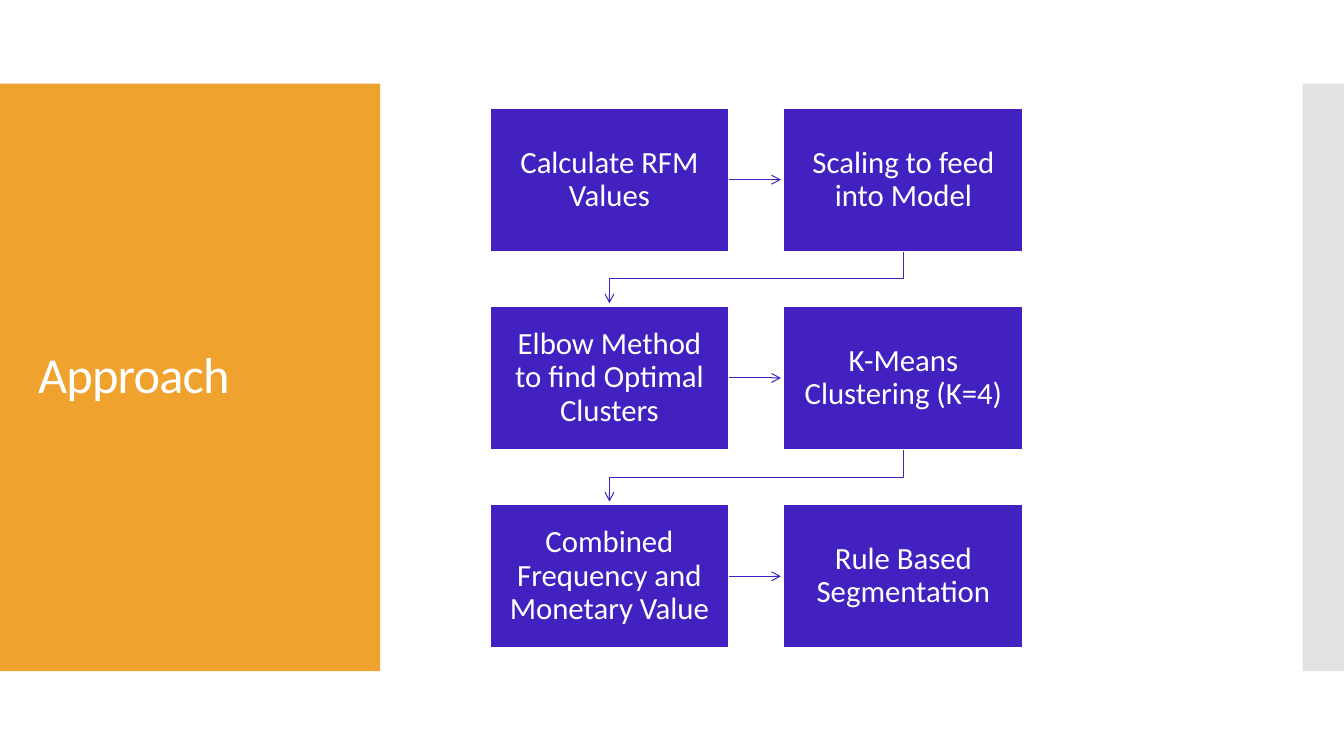
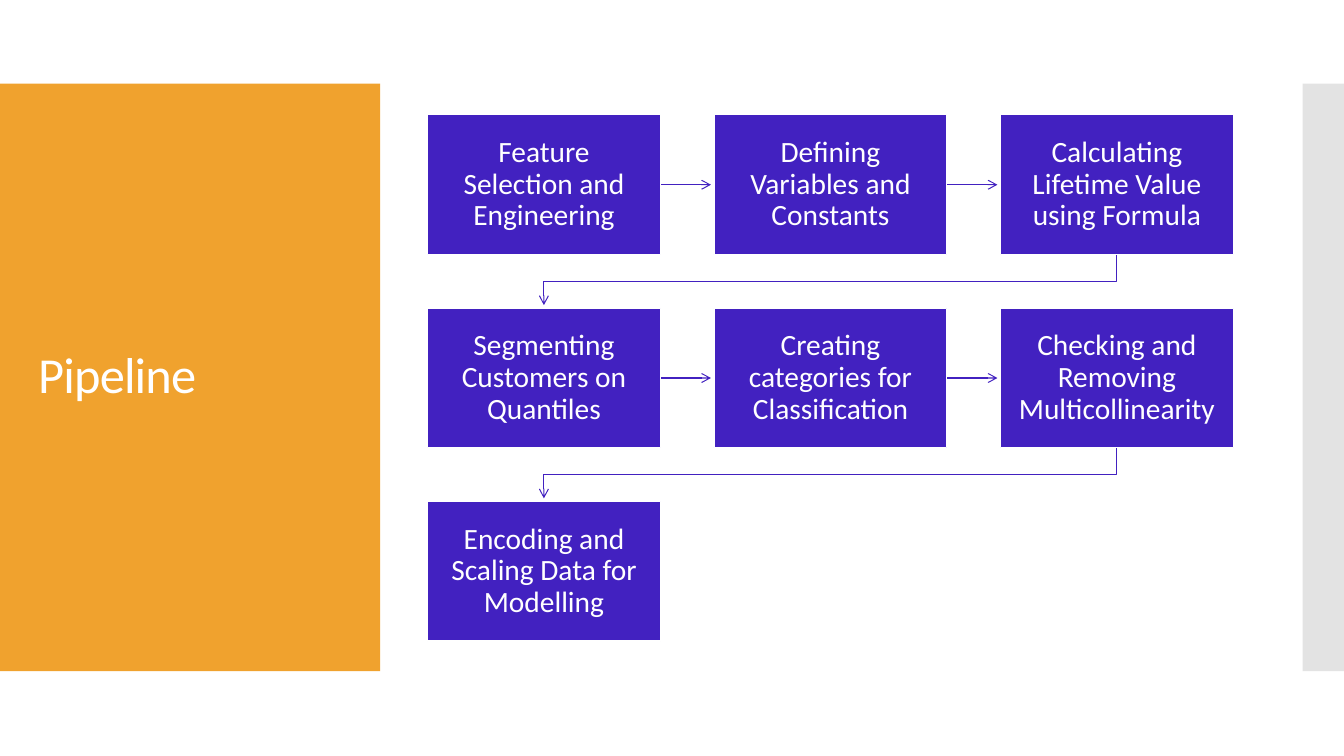
"""Build two process-flow slides: the approach and the pipeline."""
from dataclasses import dataclass
from itertools import pairwise

from lxml import etree
from pptx import Presentation
from pptx.dml.color import RGBColor
from pptx.enum.shapes import MSO_CONNECTOR, MSO_SHAPE
from pptx.enum.text import MSO_ANCHOR, PP_ALIGN
from pptx.oxml.ns import qn
from pptx.shapes.autoshape import Shape
from pptx.shapes.base import BaseShape
from pptx.slide import Slide
from pptx.text.text import TextFrame, _Run
from pptx.util import Inches, Pt

RECTANGLE = MSO_SHAPE.RECTANGLE
STRAIGHT = MSO_CONNECTOR.STRAIGHT
MIDDLE = MSO_ANCHOR.MIDDLE
CENTER = PP_ALIGN.CENTER
LEFT = PP_ALIGN.LEFT

FONT = "Calibri"
ORANGE = "F0A22E"
GRAY = "C8C8C8"
VIOLET = "4221C0"
WHITE = "FFFFFF"

SLIDE_WIDTH, SLIDE_HEIGHT = 13.33, 7.5
BAND_TOP, BAND_HEIGHT = 0.83, 5.83
ROWS = 3
HEIGHT_RATIO, GAP_RATIO, INSET_RATIO = 0.6, 0.23, 0.07
ARROW_CLEARANCE = 0.03


@dataclass(frozen=True)
class Box:
    left: float
    top: float
    width: float
    height: float

    @property
    def right(self) -> float:
        return self.left + self.width

    @property
    def bottom(self) -> float:
        return self.top + self.height

    @property
    def center_x(self) -> float:
        return self.left + self.width / 2

    @property
    def center_y(self) -> float:
        return self.top + self.height / 2

    def lengths(self) -> list[Inches]:
        return [Inches(v) for v in (self.left, self.top, self.width, self.height)]


@dataclass(frozen=True)
class Flow:
    title: str
    left: float
    step_width: float
    columns: int
    font_size: int
    steps: tuple[str, ...]

    @property
    def gap(self) -> float:
        return GAP_RATIO * self.step_width

    def step_boxes(self) -> list[Box]:
        height = HEIGHT_RATIO * self.step_width
        top = (SLIDE_HEIGHT - ROWS * height - (ROWS - 1) * self.gap) / 2
        boxes = []
        for index in range(len(self.steps)):
            row, column = divmod(index, self.columns)
            boxes.append(Box(self.left + column * (self.step_width + self.gap),
                             top + row * (height + self.gap),
                             self.step_width, height))
        return boxes


LEFT_BAND = Box(0, BAND_TOP, 3.77, BAND_HEIGHT)
RIGHT_BAND = Box(12.92, BAND_TOP, 0.42, BAND_HEIGHT)
TITLE_BOX = Box(0.28, 1.23, 3.22, 5.03)

FLOWS = (
    Flow("Approach", 4.86, 2.37, 2, 22, (
        "Calculate RFM Values",
        "Scaling to feed into Model",
        "Elbow Method to find Optimal Clusters",
        "K-Means Clustering (K=4)",
        "Combined Frequency and Monetary Value",
        "Rule Based Segmentation",
    )),
    Flow("Pipeline", 4.24, 2.31, 3, 21, (
        "Feature Selection and Engineering",
        "Defining Variables and Constants",
        "Calculating Lifetime Value using Formula",
        "Segmenting Customers on Quantiles",
        "Creating categories for Classification",
        "Checking and Removing Multicollinearity",
        "Encoding and Scaling Data for Modelling",
    )),
)


def color(value: str) -> RGBColor:
    return RGBColor.from_string(value)


def add_rectangle(slide: Slide, box: Box, fill: str) -> Shape:
    rectangle = slide.shapes.add_shape(RECTANGLE, *box.lengths())
    rectangle.shadow.inherit = False
    rectangle.fill.solid()
    rectangle.fill.fore_color.rgb = color(fill)
    rectangle.line.fill.background()
    return rectangle


def write_text(frame: TextFrame, text: str, size: int, align: PP_ALIGN) -> _Run:
    frame.word_wrap = True
    frame.vertical_anchor = MIDDLE
    paragraph = frame.paragraphs[0]
    paragraph.alignment = align
    paragraph.line_spacing = 0.9
    run = paragraph.add_run()
    run.text = text
    run.font.name = FONT
    run.font.size = Pt(size)
    run.font.color.rgb = color(WHITE)
    return run


def add_bands(slide: Slide) -> None:
    add_rectangle(slide, LEFT_BAND, ORANGE)
    edge = add_rectangle(slide, RIGHT_BAND, GRAY)
    tint = edge._element.spPr.find(qn("a:solidFill")).find(qn("a:srgbClr"))
    etree.SubElement(tint, qn("a:alpha"), val="50000")


def add_title(slide: Slide, title: str) -> None:
    frame = slide.shapes.add_textbox(*TITLE_BOX.lengths()).text_frame
    run = write_text(frame, title, 36, LEFT)
    run.font._element.set("spc", "-60")


def add_step(slide: Slide, box: Box, text: str, size: int) -> None:
    step = add_rectangle(slide, box, VIOLET)
    step.line.color.rgb = color(WHITE)
    step.line.width = Pt(0.85)
    frame = step.text_frame
    inset = Inches(INSET_RATIO * box.width)
    frame.margin_left = frame.margin_right = inset
    frame.margin_top = frame.margin_bottom = inset
    write_text(frame, text, size, CENTER)


def style_arrow(arrow: BaseShape) -> None:
    arrow.line.color.rgb = color(VIOLET)
    arrow.line.width = Pt(0.75)
    properties = arrow._element.spPr
    etree.SubElement(properties.get_or_add_ln(), qn("a:tailEnd"), type="arrow")
    etree.SubElement(properties, qn("a:effectLst"))


def add_row_arrow(slide: Slide, source: Box, target: Box) -> None:
    arrow = slide.shapes.add_connector(
        STRAIGHT, Inches(source.right), Inches(source.center_y),
        Inches(target.left - ARROW_CLEARANCE), Inches(target.center_y))
    style_arrow(arrow)


def add_wrap_arrow(slide: Slide, source: Box, target: Box) -> None:
    turn = (source.bottom + target.top) / 2
    start, *bends = [(Inches(x), Inches(y)) for x, y in (
        (source.center_x, source.bottom),
        (source.center_x, turn),
        (target.center_x, turn),
        (target.center_x, target.top - ARROW_CLEARANCE),
    )]
    builder = slide.shapes.build_freeform(*start)
    builder.add_line_segments(bends, close=False)
    arrow = builder.convert_to_shape()
    arrow.fill.background()
    style_arrow(arrow)


def add_flow(slide: Slide, flow: Flow) -> None:
    boxes = flow.step_boxes()
    for source, target in pairwise(boxes):
        connect = add_row_arrow if source.top == target.top else add_wrap_arrow
        connect(slide, source, target)
    for box, text in zip(boxes, flow.steps):
        add_step(slide, box, text, flow.font_size)


def main() -> None:
    deck = Presentation()
    deck.slide_width = Inches(SLIDE_WIDTH)
    deck.slide_height = Inches(SLIDE_HEIGHT)
    blank = deck.slide_layouts[6]
    for flow in FLOWS:
        slide = deck.slides.add_slide(blank)
        add_bands(slide)
        add_title(slide, flow.title)
        add_flow(slide, flow)
    deck.save("out.pptx")


if __name__ == "__main__":
    main()
